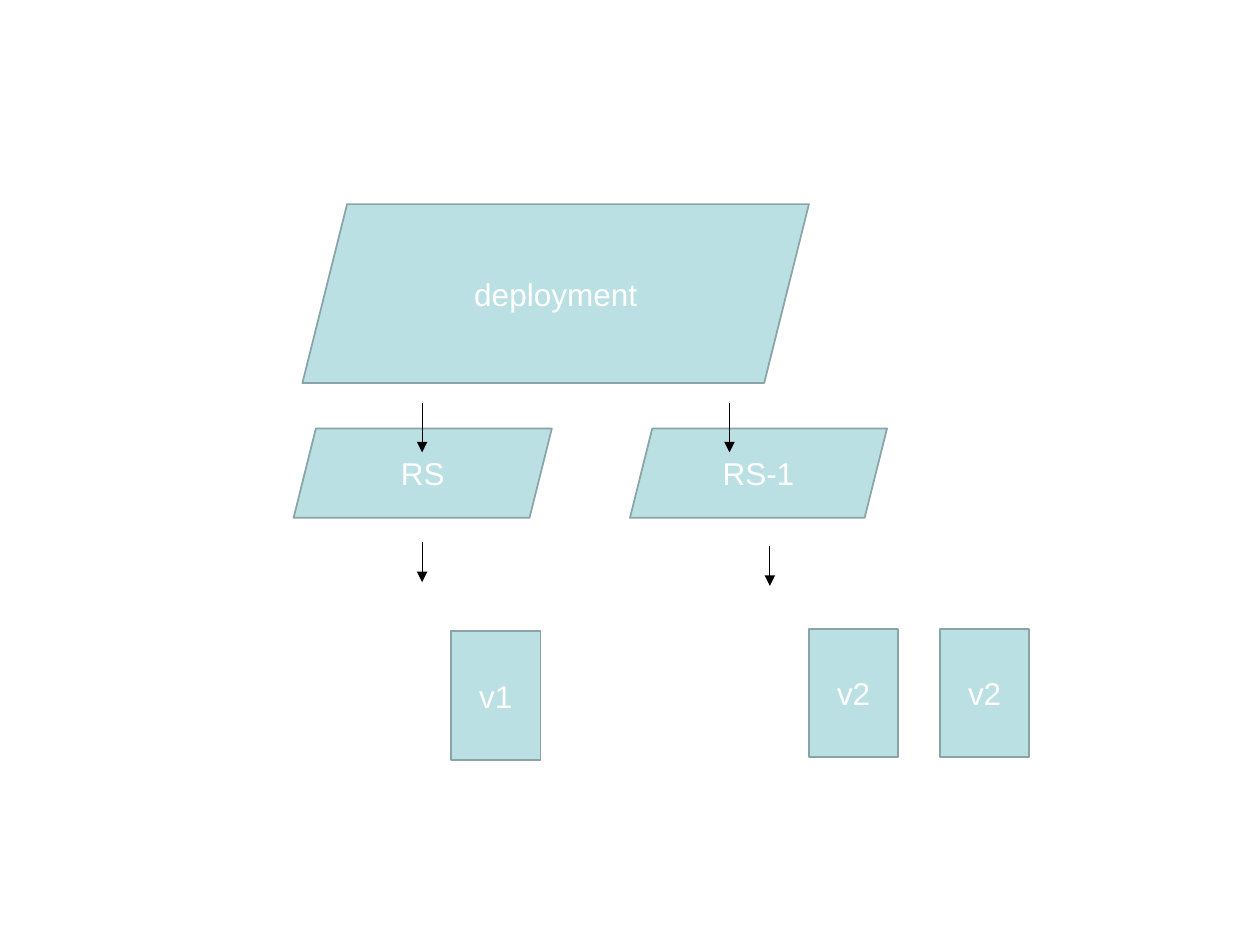
import pptx
import pptx.dml.color
import pptx.enum.shapes
import pptx.enum.text
import pptx.oxml.ns
import pptx.util
from lxml import etree

Inches = pptx.util.Inches
Pt = pptx.util.Pt
SHAPES = pptx.enum.shapes.MSO_SHAPE
COLORS = {"fill": "BBE0E3", "outline": "89A4A7", "label": "FFFFFF", "arrow": "000000"}
POD_WIDTH, POD_HEIGHT, POD_PITCH = 0.71, 1.02, 1.04
SET_HEIGHT = 0.71


def rgb(name):
    return pptx.dml.color.RGBColor.from_string(COLORS[name])


def add_node(slide, preset, label, left, top, width, height):
    node = slide.shapes.add_shape(
        preset, Inches(left), Inches(top), Inches(width), Inches(height))
    node.shadow.inherit = False
    node.fill.solid()
    node.fill.fore_color.rgb = rgb("fill")
    node.line.color.rgb = rgb("outline")
    node.line.width = Pt(1)
    frame = node.text_frame
    frame.word_wrap = True
    frame.vertical_anchor = pptx.enum.text.MSO_ANCHOR.MIDDLE
    paragraph = frame.paragraphs[0]
    paragraph.text = label
    paragraph.alignment = pptx.enum.text.PP_ALIGN.CENTER
    paragraph.font.name = "Arial"
    paragraph.font.size = Pt(18)
    paragraph.font.color.rgb = rgb("label")


def add_down_arrow(slide, x, top, length):
    arrow = slide.shapes.add_connector(
        pptx.enum.shapes.MSO_CONNECTOR.STRAIGHT,
        Inches(x), Inches(top), Inches(x), Inches(top + length))
    arrow.line.color.rgb = rgb("arrow")
    arrow.line.width = Pt(0.5)
    qn = pptx.oxml.ns.qn
    etree.SubElement(arrow.line._get_or_add_ln(), qn("a:tailEnd"), type="triangle")
    etree.SubElement(arrow._element.spPr, qn("a:effectLst"))


def add_replica_set(slide, label, left, top, width, arrow_in, arrow_out, pods, pod_offset):
    """Draw a replica set with its arrows and pods; offsets are from its top left corner."""
    add_node(slide, SHAPES.PARALLELOGRAM, label, left, top, width, SET_HEIGHT)
    add_down_arrow(slide, left + arrow_in, top - 0.2, 0.39)
    out_x, out_y = arrow_out
    add_down_arrow(slide, left + out_x, top + out_y, 0.32)
    pod_x, pod_y = pod_offset
    for index, version in enumerate(pods):
        add_node(slide, SHAPES.RECTANGLE, version, left + pod_x + index * POD_PITCH,
                 top + pod_y, POD_WIDTH, POD_HEIGHT)


def main():
    presentation = pptx.Presentation()
    presentation.slide_width = Inches(10)
    presentation.slide_height = Inches(7.5)
    slide = presentation.slides.add_slide(presentation.slide_layouts[6])
    add_node(slide, SHAPES.PARALLELOGRAM, "deployment", 2.4, 1.62, 4.02, 1.42)
    add_replica_set(slide, "RS", 2.33, 3.4, 2.05, arrow_in=1.02, arrow_out=(1.02, 0.9),
                    pods=["v1"], pod_offset=(1.25, 1.61))
    add_replica_set(slide, "RS-1", 5, 3.4, 2.04, arrow_in=0.79, arrow_out=(1.11, 0.93),
                    pods=["v2", "v2"], pod_offset=(1.42, 1.59))
    presentation.save("out.pptx")


if __name__ == "__main__":
    main()
